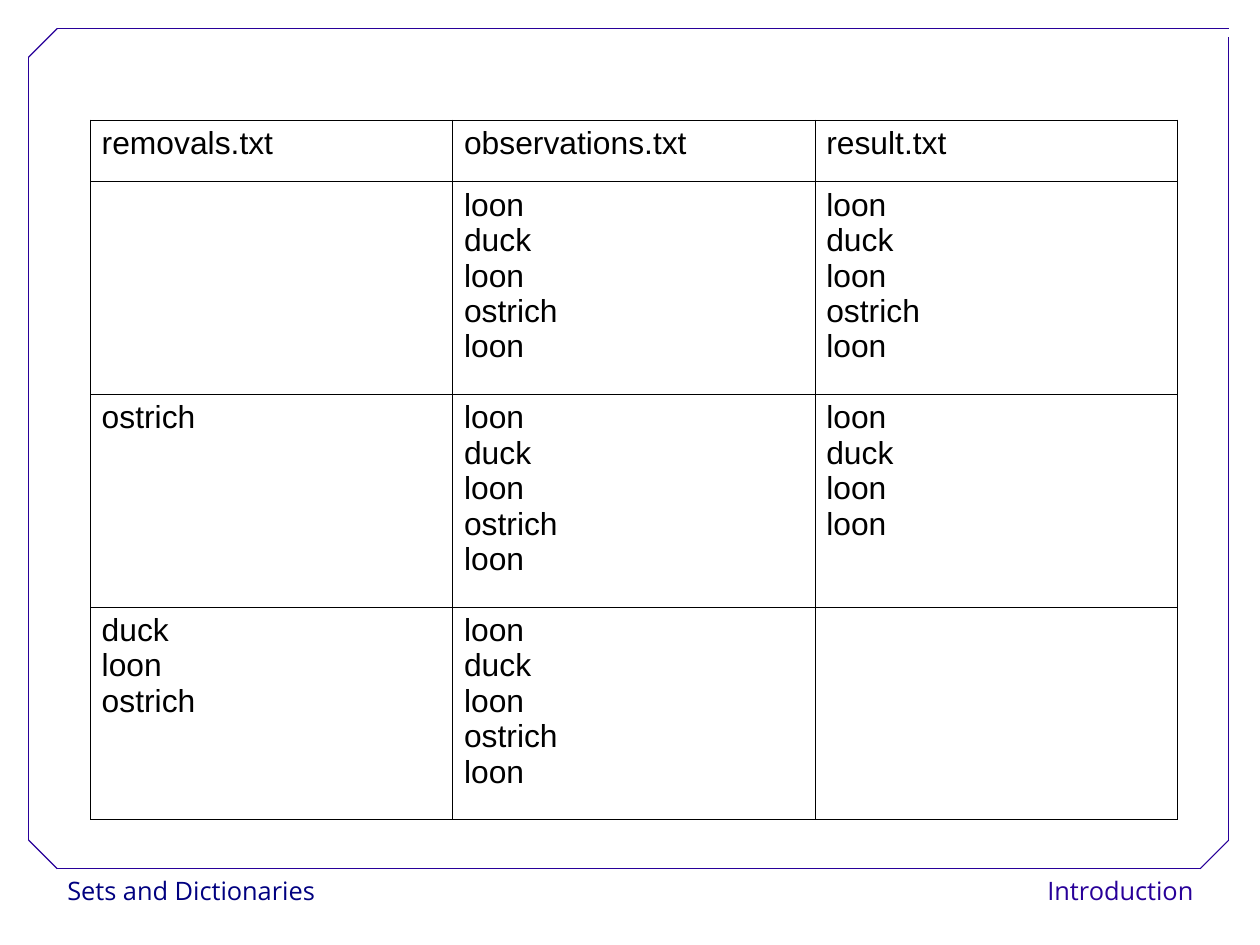
"""Build the slide that tabulates removals, observations and results."""
from lxml import etree
from pptx import Presentation
from pptx.dml.color import RGBColor
from pptx.enum import shapes, text
from pptx.oxml import ns
from pptx.util import Cm, Inches, Pt

COLORS = {"paper": "FFFFFF", "ink": "000000", "navy": "000080", "frame": "280099"}

SIGHTINGS = ["loon", "duck", "loon", "ostrich", "loon"]
ROWS = [
    (["removals.txt"], ["observations.txt"], ["result.txt"]),
    ([], SIGHTINGS, SIGHTINGS),
    (["ostrich"], SIGHTINGS, ["loon", "duck", "loon", "loon"]),
    (["duck", "loon", "ostrich"], SIGHTINGS, []),
]
TABLE_LEFT, TABLE_TOP = 0.79, 1.05
COLUMN_WIDTH, HEADER_HEIGHT, BODY_HEIGHT = 3.17, 0.54, 1.86

FOOTERS = [
    ("Sets and Dictionaries", 0.49, 2.38, "navy", text.PP_ALIGN.LEFT),
    ("Introduction", 9.04, 1.5, "frame", text.PP_ALIGN.RIGHT),
]
FOOTER_TOP, FOOTER_HEIGHT = 7.6, 0.4

LEFT, TOP, RIGHT, BOTTOM, CUT = 0.25, 0.25, 10.75, 7.6, 0.25
FRAME_LINES = [
    (LEFT + CUT, BOTTOM, RIGHT - CUT, BOTTOM),
    (LEFT, BOTTOM - CUT, LEFT, TOP + CUT),
    (LEFT + CUT, TOP, RIGHT, TOP),
    (RIGHT, BOTTOM - CUT, RIGHT, 0.32),
    (LEFT, TOP + CUT, LEFT + CUT, TOP),
    (RIGHT - CUT, BOTTOM, RIGHT, BOTTOM - CUT),
    (LEFT, BOTTOM - CUT, LEFT + CUT, BOTTOM),
]


def rgb(name):
    return RGBColor.from_string(COLORS[name])


def add_span(para, words, size, font, color):
    span = para.add_run()
    span.text = words
    span.font.size = Pt(size)
    span.font.name = font
    span.font.color.rgb = rgb(color)


def add_footer(page, words, left, width, color, align):
    box = page.shapes.add_shape(
        shapes.MSO_SHAPE.RECTANGLE, Inches(left), Inches(FOOTER_TOP),
        Inches(width), Inches(FOOTER_HEIGHT))
    box.shadow.inherit = False
    box.fill.solid()
    box.fill.fore_color.rgb = rgb("paper")
    box.line.fill.background()
    box.text_frame.word_wrap = False
    box.text_frame.vertical_anchor = text.MSO_ANCHOR.TOP
    para = box.text_frame.paragraphs[0]
    para.alignment = align
    para.line_spacing = 1.02
    add_span(para, words, 16, "Open Sans", color)


def add_frame_line(page, ends):
    line = page.shapes.add_connector(
        shapes.MSO_CONNECTOR.STRAIGHT, *[Inches(end) for end in ends])
    line.line.color.rgb = rgb("frame")
    line.line.width = Pt(0.75)
    etree.SubElement(line._element.spPr, ns.qn("a:effectLst"))


def set_borders(cell):
    properties = cell._tc.get_or_add_tcPr()
    for place, side in enumerate(("lnL", "lnR", "lnT", "lnB")):
        border = etree.Element(ns.qn(f"a:{side}"), w=str(Pt(0.45)))
        fill = etree.SubElement(border, ns.qn("a:solidFill"))
        etree.SubElement(fill, ns.qn("a:srgbClr"), val=COLORS["ink"])
        properties.insert(place, border)


def fill_cell(cell, lines):
    cell.fill.background()
    cell.margin_left = cell.margin_right = Inches(0.1)
    cell.margin_top = cell.margin_bottom = Inches(0.05)
    set_borders(cell)
    for index, words in enumerate(lines):
        frame = cell.text_frame
        para = frame.add_paragraph() if index else frame.paragraphs[0]
        add_span(para, words, 20, "Arial", "ink")


def add_bird_table(page):
    heights = [HEADER_HEIGHT] + [BODY_HEIGHT] * (len(ROWS) - 1)
    columns = len(ROWS[0])
    table = page.shapes.add_table(
        len(ROWS), columns, Inches(TABLE_LEFT), Inches(TABLE_TOP),
        Inches(COLUMN_WIDTH * columns), Inches(sum(heights))).table
    table.first_row = table.horz_banding = False
    for column in table.columns:
        column.width = Inches(COLUMN_WIDTH)
    for index, (height, row) in enumerate(zip(heights, ROWS)):
        table.rows[index].height = Inches(height)
        for cell, lines in zip(table.rows[index].cells, row):
            fill_cell(cell, lines)


def main():
    deck = Presentation()
    deck.slide_width, deck.slide_height = Cm(28), Cm(21)
    page = deck.slides.add_slide(deck.slide_layouts[6])
    page.background.fill.solid()
    page.background.fill.fore_color.rgb = rgb("paper")
    for footer in FOOTERS:
        add_footer(page, *footer)
    for ends in FRAME_LINES:
        add_frame_line(page, ends)
    add_bird_table(page)
    deck.save("out.pptx")


if __name__ == "__main__":
    main()
